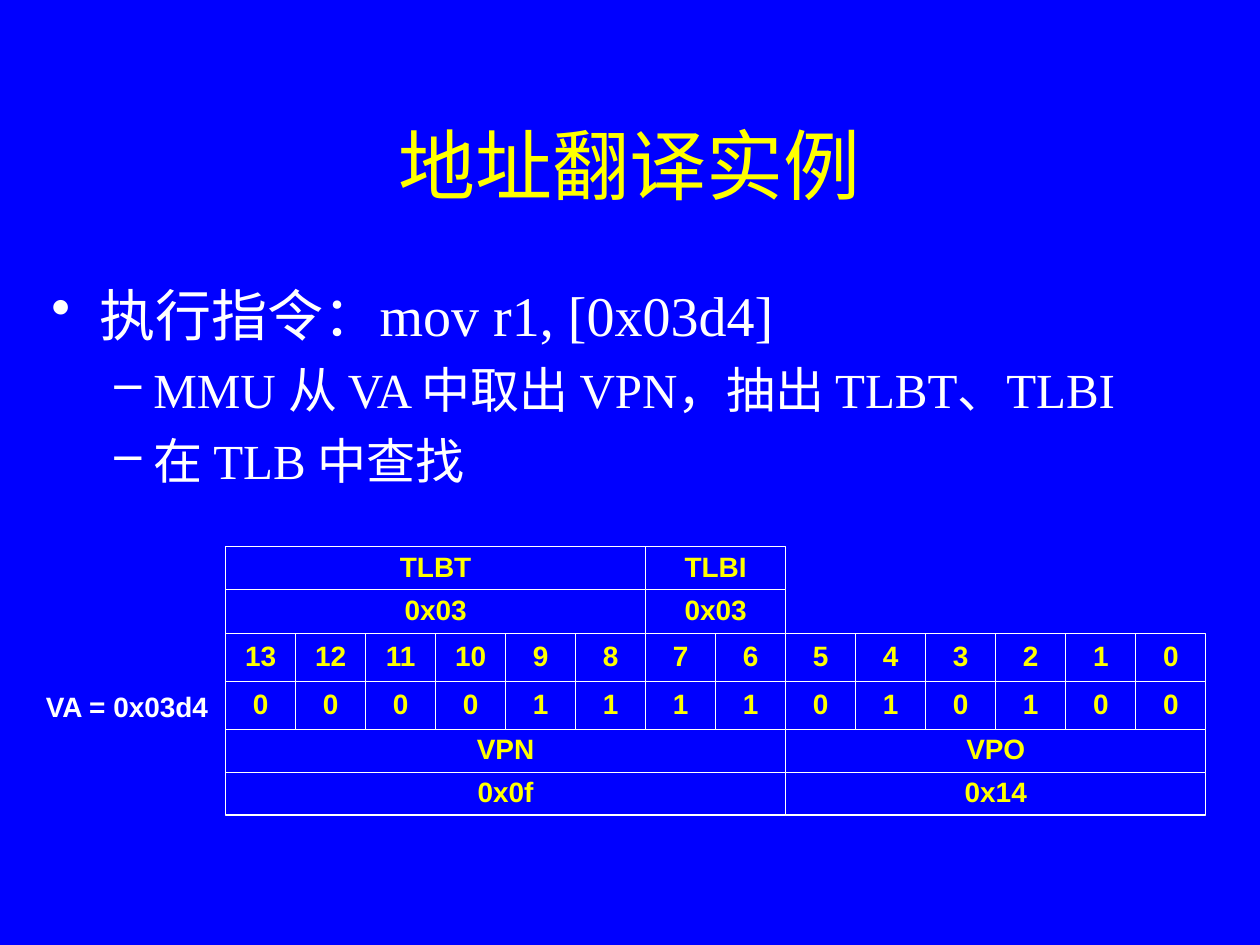
from dataclasses import dataclass

from lxml import etree
from pptx import Presentation
from pptx import util as u
from pptx.dml.color import RGBColor
from pptx.enum import shapes, text
from pptx.oxml import ns

HUES = {"back": "0000FF", "ink": "FFFFFF", "mark": "FFFF00"}
WIDE, HIGH = 10, 7.5

# Bit grid: 14 equal columns, six rows
LEFT, COL = 1.79, 7.78 / 14
TOPS = [4.34, 4.68, 5.03, 5.41, 5.79, 6.13, 6.47]


@dataclass
class Cell:
    label: str
    row: int
    col: int
    span: int = 1


@dataclass
class Point:
    label: str
    size: int
    level: int
    sign: str
    left: float
    hang: float
    gap: int


POINTS = [
    Point("执行指令：mov r1, [0x03d4]", 32, 0, "•", 0.38, 0.38, 0),
    Point("MMU 从 VA 中取出 VPN，抽出 TLBT、TLBI", 28, 1, "–", 0.81, 0.31, 7),
    Point("在 TLB 中查找", 28, 1, "–", 0.81, 0.31, 7),
]

BITS = [
    Cell(label, row, col)
    for row, labels in ((2, range(13, -1, -1)), (3, "00001111010100"))
    for col, label in enumerate(map(str, labels))
]
FIELDS = [
    Cell("VPO", 4, 8, 6), Cell("VPN", 4, 0, 8),
    Cell("0x14", 5, 8, 6), Cell("0x0f", 5, 0, 8),
    Cell("TLBI", 0, 6, 2), Cell("TLBT", 0, 0, 6),
    Cell("0x03", 1, 6, 2), Cell("0x03", 1, 0, 6),
]


def hue(name: str) -> RGBColor:
    return RGBColor.from_string(HUES[name])


def style(para, size: int, face: str, tint: str, bold: bool = False) -> None:
    for run in para.runs:
        font = run.font
        font.size, font.name, font.bold = u.Pt(size), face, bold
        font.color.rgb = hue(tint)


def add_box(slide, x: float, y: float, w: float, h: float):
    """Add a text box placed by shares of the slide's size."""
    box = slide.shapes.add_textbox(
        u.Inches(x * WIDE), u.Inches(y * HIGH), u.Inches(w * WIDE), u.Inches(h * HIGH))
    return box.text_frame


def add_point(para, point: Point) -> None:
    para.text = point.label
    para.level = point.level
    props = para._p.get_or_add_pPr()
    props.set("marL", str(u.Inches(point.left)))
    props.set("indent", str(-u.Inches(point.hang)))
    tint = etree.SubElement(props, ns.qn("a:buClr"))
    etree.SubElement(tint, ns.qn("a:srgbClr"), val=HUES["ink"])
    etree.SubElement(props, ns.qn("a:buChar"), char=point.sign)
    para.space_before = u.Pt(point.gap)
    style(para, point.size, "Times New Roman", "ink")


def add_cell(slide, cell: Cell) -> None:
    top = TOPS[cell.row]
    rect = slide.shapes.add_shape(
        shapes.MSO_SHAPE.RECTANGLE, u.Inches(LEFT + cell.col * COL), u.Inches(top),
        u.Inches(cell.span * COL), u.Inches(TOPS[cell.row + 1] - top))
    rect.shadow.inherit = False
    rect.line.color.rgb = hue("ink")
    rect.line.width = u.Pt(0.75)
    frame = rect.text_frame
    if cell.span > 1:
        rect.fill.solid()
        rect.fill.fore_color.rgb = hue("back")
        frame.vertical_anchor = text.MSO_ANCHOR.TOP
    else:
        rect.fill.background()
        frame.vertical_anchor = text.MSO_ANCHOR.MIDDLE
    frame.word_wrap = cell.span > 1
    frame.text = cell.label
    para = frame.paragraphs[0]
    para.alignment = text.PP_ALIGN.CENTER
    para.line_spacing = 0.9
    style(para, 16, "Arial", "mark", True)


def main() -> None:
    deck = Presentation()
    deck.slide_width, deck.slide_height = u.Inches(WIDE), u.Inches(HIGH)
    slide = deck.slides.add_slide(deck.slide_layouts[6])
    slide.background.fill.solid()
    slide.background.fill.fore_color.rgb = hue("back")

    # Title
    title = add_box(slide, 0.075, 0.09, 0.85, 0.166)
    title.word_wrap = True
    title.vertical_anchor = text.MSO_ANCHOR.MIDDLE
    title.text = "地址翻译实例"
    title.paragraphs[0].alignment = text.PP_ALIGN.CENTER
    style(title.paragraphs[0], 44, "Times New Roman", "mark")

    # Bullet points
    body = add_box(slide, 0.031, 0.29, 0.947, 0.275)
    body.word_wrap = True
    for rank, point in enumerate(POINTS):
        add_point(body.add_paragraph() if rank else body.paragraphs[0], point)

    # Address bits and their fields
    for cell in BITS + FIELDS:
        add_cell(slide, cell)

    # Address label
    label = add_box(slide, 0.024, 0.723, 0.151, 0.049)
    label.word_wrap = False
    label.vertical_anchor = text.MSO_ANCHOR.MIDDLE
    label.text = "VA = 0x03d4"
    label.paragraphs[0].alignment = text.PP_ALIGN.RIGHT
    style(label.paragraphs[0], 16, "Arial", "ink", True)

    deck.save("out.pptx")


if __name__ == "__main__":
    main()
